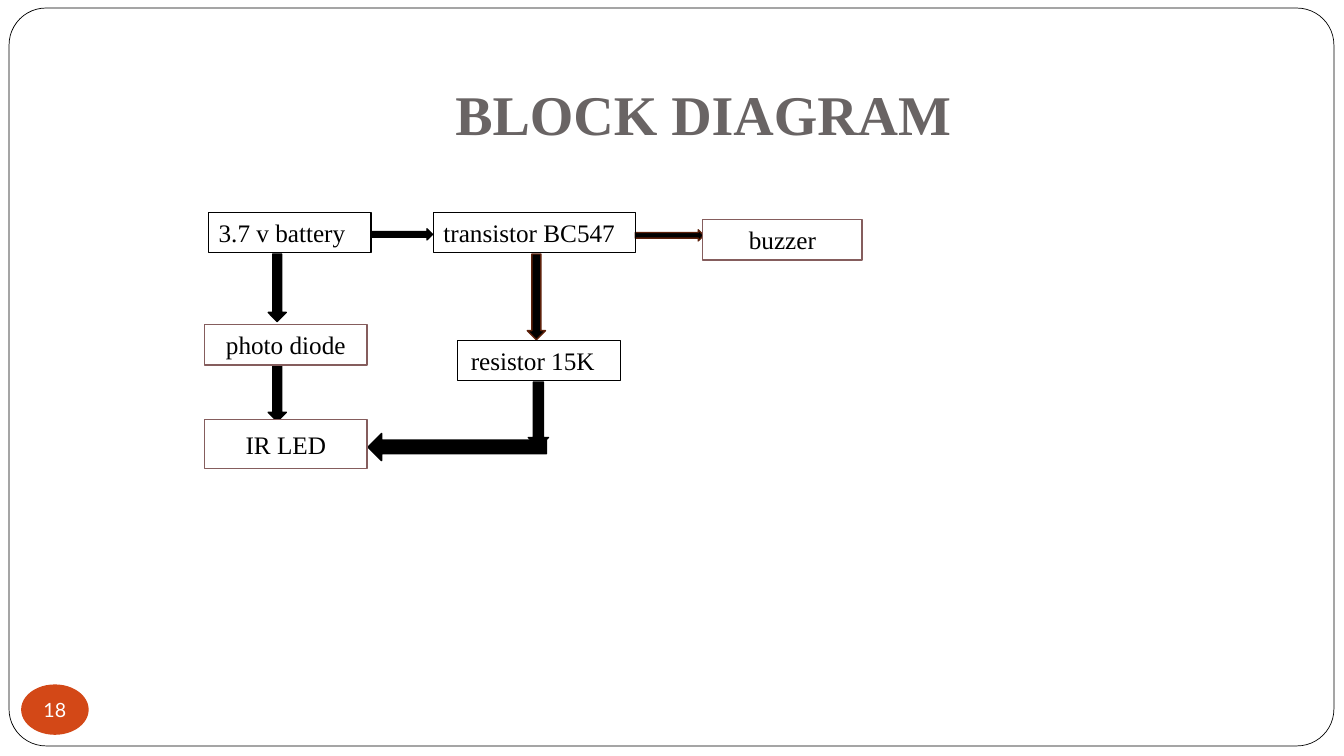
from collections import namedtuple
from dataclasses import dataclass

from pptx import Presentation
from pptx.dml.color import RGBColor
from pptx.enum import shapes, text
from pptx.util import Pt

PX = 9144  # 100 px to the inch
KIND = shapes.MSO_SHAPE
ALIGN = text.PP_ALIGN
ANCHOR = text.MSO_ANCHOR
Box = namedtuple("Box", "x y w h")


@dataclass(frozen=True)
class Theme:
    font: str = "Times New Roman"
    number_font: str = "Lato"
    white: str = "FFFFFF"
    black: str = "000000"
    title: str = "696464"
    rose: str = "855D5D"
    brown: str = "5C200A"
    orange: str = "D34817"
    title_size: int = 40
    label_size: int = 18
    number_size: int = 14


THEME = Theme()


def emu(box):
    return [v * PX for v in box]


def inside(area, x, y, w, h):
    return Box(area.x + x, area.y + y, w, h)


def add_shape(slide, kind, box, fill=None, line=None, width=1):
    sp = slide.shapes.add_shape(kind, *emu(box))
    sp.shadow.inherit = False
    if fill:
        sp.fill.solid()
        sp.fill.fore_color.rgb = RGBColor.from_string(fill)
    else:
        sp.fill.background()
    if line:
        sp.line.color.rgb = RGBColor.from_string(line)
        sp.line.width = Pt(width)
    else:
        sp.line.fill.background()
    return sp


def write(sp, words, size, color, font=THEME.font, bold=False,
          align=ALIGN.CENTER, anchor=ANCHOR.MIDDLE):
    tf = sp.text_frame
    tf.text = words
    tf.vertical_anchor = anchor
    p = tf.paragraphs[0]
    p.alignment = align
    r = p.runs[0]
    r.font.name, r.font.size, r.font.bold = font, Pt(size), bold
    r.font.color.rgb = RGBColor.from_string(color)
    return tf


def set_insets(tf, left, top, right, bottom):
    tf.margin_left, tf.margin_top = left * PX, top * PX
    tf.margin_right, tf.margin_bottom = right * PX, bottom * PX


def add_frame(slide, box):
    """Draw the rounded page border behind the title."""
    sp = add_shape(slide, KIND.ROUNDED_RECTANGLE, box, THEME.white, THEME.black, 0.5)
    sp.adjustments[0] = 0.05
    slide.shapes.title._element.addprevious(sp._element)


def add_title(slide, box):
    title = slide.shapes.title
    title.left, title.top, title.width, title.height = emu(box)
    tf = write(title, "BLOCK DIAGRAM", THEME.title_size, THEME.title,
               bold=True, anchor=ANCHOR.BOTTOM)
    set_insets(tf, 10, 5, 10, 10)


def add_diagram(slide, area):
    arrows = [
        (KIND.RIGHT_ARROW, (165, 16, 61, 11), THEME.black),   # battery to transistor
        (KIND.RIGHT_ARROW, (427, 17, 68, 11), THEME.brown),   # transistor to buzzer
        (KIND.DOWN_ARROW, (320, 41, 18, 85), THEME.brown),    # transistor to resistor
        (KIND.DOWN_ARROW, (63, 41, 18, 67), THEME.black),     # battery to photo diode
        (KIND.DOWN_ARROW, (63, 151, 18, 56), THEME.black),    # photo diode to IR LED
        (KIND.DOWN_ARROW, (321, 168, 20, 65), THEME.black),   # resistor to the bend
        (KIND.LEFT_ARROW, (162, 219, 177, 27), THEME.black),  # bend to IR LED
    ]
    for kind, place, line in arrows:
        add_shape(slide, kind, inside(area, *place), THEME.black, line)

    outlined = [
        ("3.7 v battery", (4, 0, 161, 40), ALIGN.LEFT, 10),
        ("transistor BC547", (227, 0, 200, 40), ALIGN.LEFT, 10),
        ("resistor 15K", (251, 127, 161, 40), ALIGN.CENTER, 22),
    ]
    for words, place, align, right in outlined:
        sp = add_shape(slide, KIND.RECTANGLE, inside(area, *place),
                       line=THEME.black, width=0.75)
        tf = write(sp, words, THEME.label_size, THEME.black,
                   align=align, anchor=ANCHOR.TOP)
        set_insets(tf, 10, 5, right, 5)

    filled = [
        ("buzzer", (494, 7, 158, 40)),
        ("photo diode", (0, 111, 161, 40)),
        ("IR LED", (0, 205, 161, 49)),
    ]
    for words, place in filled:
        sp = add_shape(slide, KIND.RECTANGLE, inside(area, *place),
                       THEME.white, THEME.rose)
        write(sp, words, THEME.label_size, THEME.black)


def add_page_number(slide, box):
    sp = add_shape(slide, KIND.OVAL, box, THEME.orange)
    tf = write(sp, "18", THEME.number_size, THEME.white, THEME.number_font)
    tf.word_wrap = False
    set_insets(tf, 0, 0, 0, 0)


def main():
    prs = Presentation()
    prs.slide_width, prs.slide_height = 1333 * PX, 750 * PX
    slide = prs.slides.add_slide(prs.slide_layouts[5])
    add_frame(slide, Box(9, 8, 1314, 732))
    add_title(slide, Box(131, 31, 1133, 125))
    add_diagram(slide, Box(203, 211, 652, 254))
    add_page_number(slide, Box(21, 679, 67, 50))
    prs.save("out.pptx")


if __name__ == "__main__":
    main()
